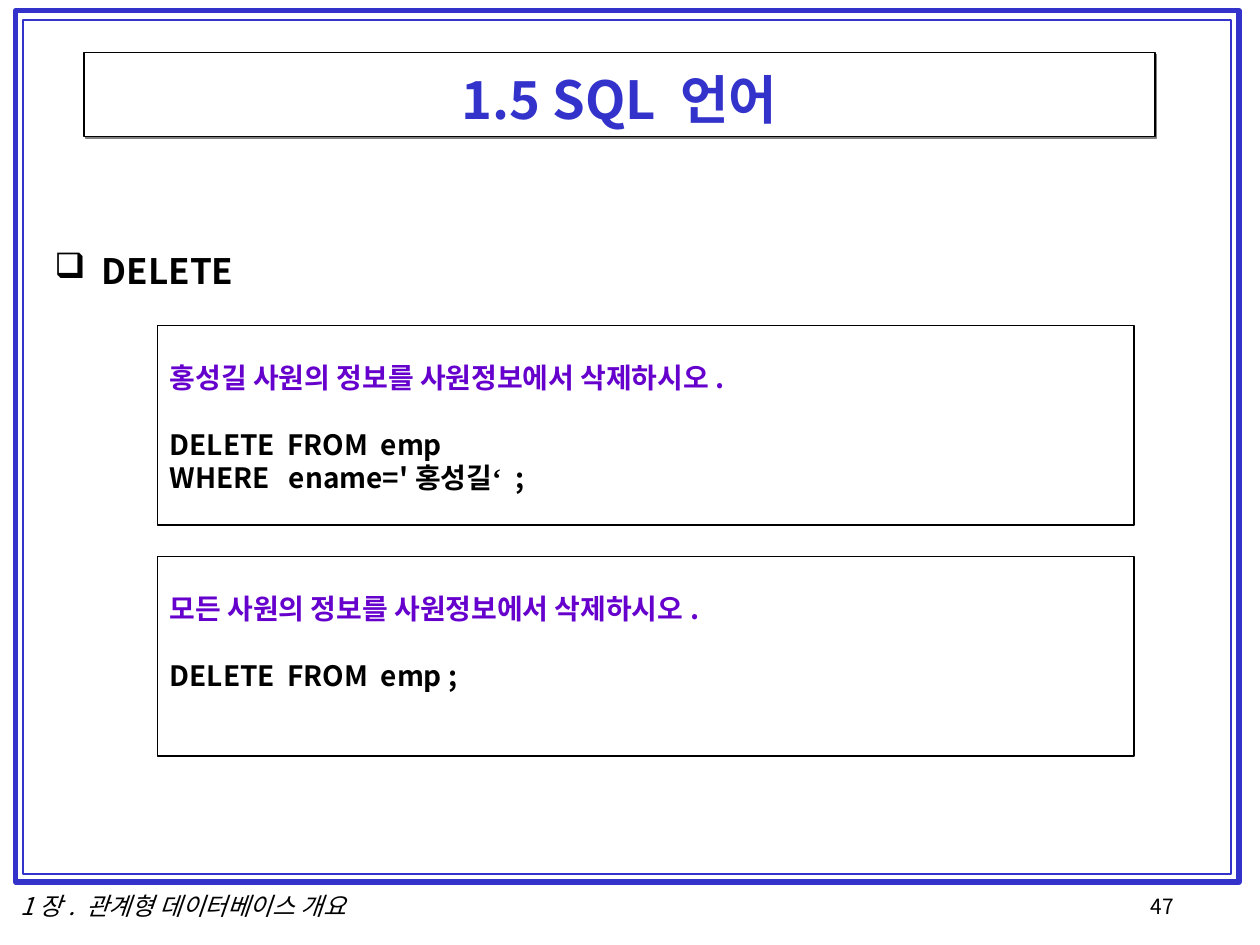
from lxml import etree
from pptx import Presentation
from pptx.dml.color import RGBColor
from pptx.enum import shapes, text
from pptx.oxml import ns
from pptx.util import Pt

BLUE = RGBColor(0x33, 0x33, 0xCC)
PURPLE = RGBColor(0x66, 0x00, 0xCC)
BLACK = RGBColor(0, 0, 0)
WHITE = RGBColor(0xFF, 0xFF, 0xFF)
SANS = "Noto Sans CJK KR"
SERIF = "Times New Roman"


def add_run(paragraph, content, size, color=BLACK, bold=False, italic=False, font=SANS):
    run = paragraph.add_run()
    run.text = content
    run.font.size = Pt(size)
    run.font.bold = bold
    run.font.italic = italic
    run.font.color.rgb = color
    run.font.name = font
    east_asian = etree.SubElement(run.font._element, ns.qn("a:ea"))
    east_asian.set("typeface", font)


def add_paragraph(frame, pieces, line, before=0, align=text.PP_ALIGN.LEFT, **style):
    first = not frame.paragraphs[0].runs
    paragraph = frame.paragraphs[0] if first else frame.add_paragraph()
    paragraph.alignment = align
    paragraph.line_spacing = Pt(line)
    paragraph.space_before = Pt(before)
    for content, font in pieces:
        add_run(paragraph, content, font=font, **style)
    return paragraph


def add_textbox(slide, box, content, wrap=True, **style):
    shape = slide.shapes.add_textbox(*map(Pt, box))
    shape.text_frame.word_wrap = wrap
    return add_paragraph(shape.text_frame, [(content, SANS)], **style)


def add_box(slide, box, color, width, fill=None):
    shape = slide.shapes.add_shape(shapes.MSO_SHAPE.RECTANGLE, *map(Pt, box))
    shape.shadow.inherit = False
    shape.line.color.rgb = color
    shape.line.width = Pt(width)
    if fill is None:
        shape.fill.background()
    else:
        shape.fill.solid()
        shape.fill.fore_color.rgb = fill
    return shape


def add_frame(slide, box):
    left, top, width, height = box
    add_box(slide, box, BLUE, 3)
    add_box(slide, (left + 4, top + 5.5, width - 8.5, height - 10), BLUE, 1)


def add_footer(slide, box):
    left, top, width, height = box
    add_textbox(slide, (left, top, 202, height), "1장. 관계형 데이터베이스 개요", wrap=False,
                align=text.PP_ALIGN.CENTER, size=14, italic=True, line=19)
    add_textbox(slide, (left + width - 65, top + 3, 65, height - 3), "47", size=12, line=15)


def add_title(slide, box):
    shape = add_box(slide, box, BLACK, 0.75, WHITE)
    effects = shape._element.spPr.find(ns.qn("a:effectLst"))
    shadow = etree.SubElement(effects, ns.qn("a:outerShdw"), dist=str(Pt(1.4)), dir="2700000")
    etree.SubElement(shadow, ns.qn("a:srgbClr"), val="808080")
    frame = shape.text_frame
    frame.vertical_anchor = text.MSO_ANCHOR.MIDDLE
    add_paragraph(frame, [("1.5 SQL 언어", SANS)], line=41, align=text.PP_ALIGN.CENTER,
                  size=30, color=BLUE, bold=True)


def add_heading(slide, box):
    paragraph = add_textbox(slide, box, "DELETE", size=20, bold=True, line=25)
    properties = paragraph._p.get_or_add_pPr()
    properties.set("marL", str(Pt(27)))
    properties.set("indent", str(-Pt(27)))
    bullet_color = etree.SubElement(properties, ns.qn("a:buClr"))
    etree.SubElement(bullet_color, ns.qn("a:srgbClr"), val=str(BLACK))
    etree.SubElement(properties, ns.qn("a:buChar"), char="❑")


def add_example(slide, box, question, code_lines):
    line = 19
    frame = add_box(slide, box, BLACK, 0.75).text_frame
    frame.word_wrap = True
    frame.vertical_anchor = text.MSO_ANCHOR.TOP
    frame.margin_top = Pt(20.5)
    add_paragraph(frame, [(question, SANS)], line, size=16, color=PURPLE, bold=True)
    for index, pieces in enumerate(code_lines):
        add_paragraph(frame, pieces, line, before=0 if index else line, size=16, bold=True)


def main():
    presentation = Presentation()
    presentation.slide_width = Pt(720)
    presentation.slide_height = Pt(540)
    slide = presentation.slides.add_slide(presentation.slide_layouts[6])

    add_footer(slide, (3.6, 503.3, 712, 24.5))
    add_frame(slide, (9, 6, 699, 498))
    add_title(slide, (48, 30, 612, 48))
    add_heading(slide, (24, 138, 672, 348))

    examples = [
        ("홍성길 사원의 정보를 사원정보에서 삭제하시오.",
         [[("DELETE  FROM  emp", SANS)],
          [("WHERE   ename='홍성길", SANS), ("‘ ", SERIF), (";", SANS)]]),
        ("모든 사원의 정보를 사원정보에서 삭제하시오.",
         [[("DELETE  FROM  emp ;", SANS)]]),
    ]
    for index, (question, code_lines) in enumerate(examples):
        add_example(slide, (90, 186 + 132 * index, 558, 114), question, code_lines)

    presentation.save("out.pptx")


if __name__ == "__main__":
    main()
